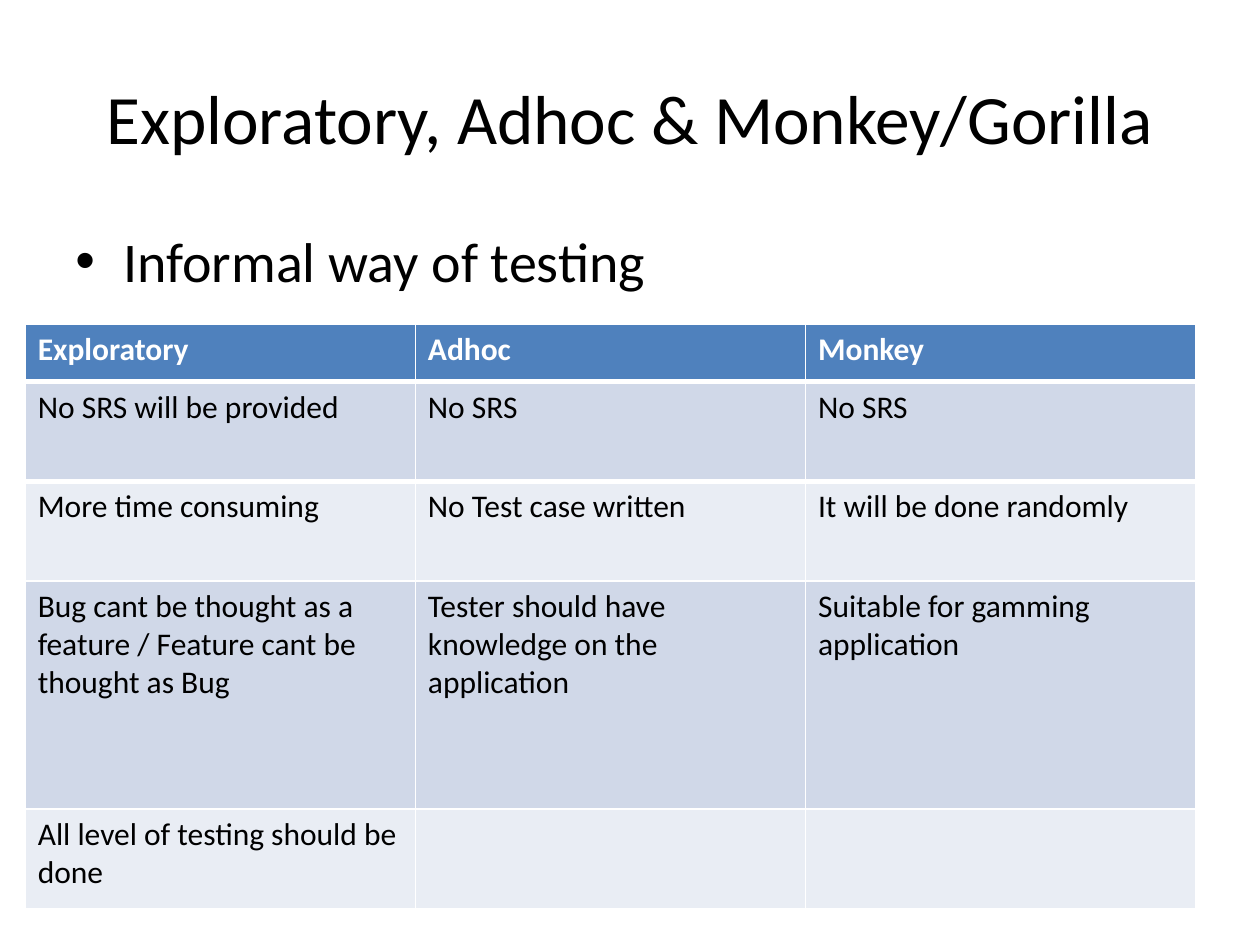
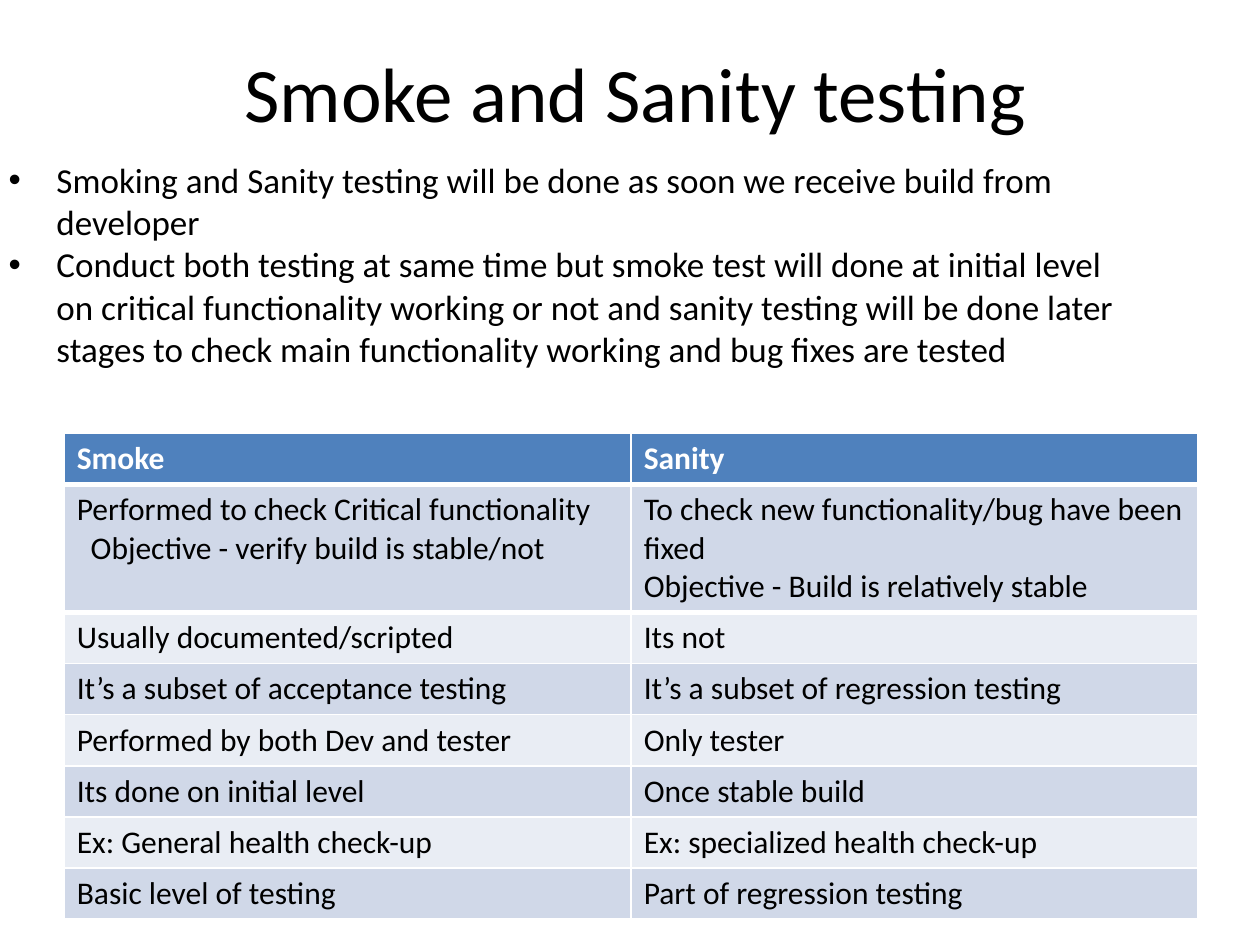
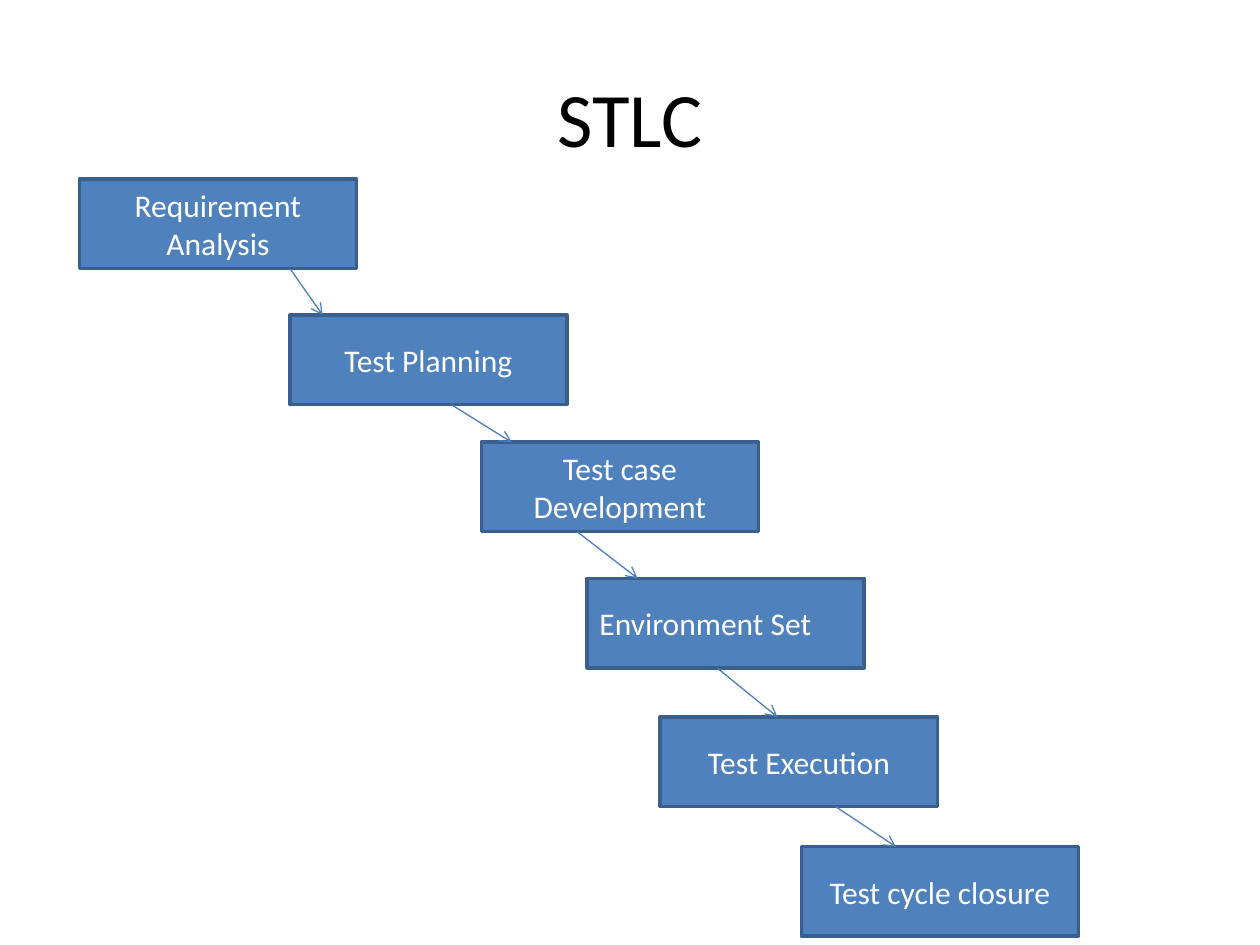
"""Build three slides on software testing: two comparisons and a life cycle."""

from dataclasses import dataclass
from itertools import pairwise
from typing import NamedTuple

import pptx
import pptx.dml.color
import pptx.enum.shapes
import pptx.enum.text
import pptx.oxml.ns
import pptx.util
from lxml import etree

Inches = pptx.util.Inches
Align = pptx.enum.text.PP_ALIGN
Anchor = pptx.enum.text.MSO_ANCHOR
qn = pptx.oxml.ns.qn


@dataclass(frozen=True)
class Theme:
    """Hold the colours, font and type sizes of the deck."""

    font: str = "Calibri"
    ink: str = "000000"
    white: str = "FFFFFF"
    blue: str = "4F81BD"
    edge: str = "3A5F8C"
    arrow: str = "4B7EBC"
    bands: tuple[str, str] = ("D0D8E8", "E9EDF4")
    title: float = 44
    tight: float = 39.6
    lead: float = 32
    body: float = 20
    small: float = 18


class Box(NamedTuple):
    """Place a thing on the slide, in inches."""

    left: float
    top: float
    width: float
    height: float


class Step(NamedTuple):
    """Name and place one step of the life cycle."""

    text: str
    left: float
    top: float
    align: Align = Align.CENTER


class Link(NamedTuple):
    """Give the left end and the width of an arrow, in inches."""

    left: float
    across: float = 0.48


@dataclass(frozen=True)
class Grid:
    """Describe a table with a header row and equal columns."""

    box: Box
    rows: list[list[str]]
    heights: list[float]


THEME = Theme()
TITLE = Box(0.5, 0.3, 9, 1.25)
STEP_SIZE = (2.2, 0.71)
INDENT = 0.38

TYPES = Grid(
    Box(0.2, 2.57, 9.29, 4.65),
    [
        ["Exploratory", "Adhoc", "Monkey"],
        ["No SRS will be provided", "No SRS", "No SRS"],
        ["More time consuming", "No Test case written", "It will be done randomly"],
        [
            "Bug cant be thought as a feature / Feature cant be thought as Bug",
            "Tester should have knowledge on the application",
            "Suitable for gamming application",
        ],
        ["All level of testing should be done", "", ""],
    ],
    [0.46, 0.79, 0.79, 1.81, 0.79],
)

CHECKS = Grid(
    Box(0.51, 3.44, 9, 3.84),
    [
        ["Smoke", "Sanity"],
        [
            "Performed to check Critical functionality\nObjective - verify build is stable/not",
            "To check new functionality/bug have been fixed\nObjective - Build is relatively stable",
        ],
        ["Usually documented/scripted", "Its not"],
        ["It’s a subset of acceptance testing", "It’s a subset of regression testing"],
        ["Performed by both Dev and tester", "Only tester"],
        ["Its done on initial level", "Once stable build"],
        ["Ex: General health check-up", "Ex: specialized health check-up"],
        ["Basic level of testing", "Part of regression testing"],
    ],
    [0.4] * 8,
)

NOTES = [
    "Smoking and Sanity testing will be done as soon we receive build from developer",
    "Conduct both testing at same time but smoke test will done at initial level "
    "on critical functionality working or not and sanity testing will be done later "
    "stages to check main functionality working and bug fixes are tested",
]

STEPS = [
    Step("Requirement Analysis", 0.63, 1.42),
    Step("Test Planning", 2.3, 2.5),
    Step("Test case Development", 3.82, 3.51),
    Step("Environment Set", 4.66, 4.59, Align.LEFT),
    Step("Test Execution", 5.24, 5.69),
    Step("Test cycle closure", 6.36, 6.72),
]

LINKS = [Link(2.3, 0.26), Link(3.58), Link(4.58), Link(5.69), Link(6.63)]


def paint(code: str) -> pptx.dml.color.RGBColor:
    """Turn a hex code into a colour."""
    return pptx.dml.color.RGBColor.from_string(code)


def fill(thing, code: str) -> None:
    """Give a shape or cell a solid fill."""
    thing.fill.solid()
    thing.fill.fore_color.rgb = paint(code)


def style(frame, size: float, code: str = THEME.ink, bold: bool = False) -> None:
    """Set the font of every run in a text frame."""
    for para in frame.paragraphs:
        for run in para.runs:
            run.font.name = THEME.font
            run.font.size = pptx.util.Pt(size)
            run.font.color.rgb = paint(code)
            run.font.bold = bold


def indent(para, left: float, first: float = 0) -> None:
    """Set the left margin and first-line indent of a paragraph."""
    props = para._p.get_or_add_pPr()
    props.set("marL", str(Inches(left)))
    props.set("indent", str(Inches(first)))


def rule(cell, side: str, width: float) -> None:
    """Draw a white border on one side of a cell."""
    line = etree.Element(qn(side), w=str(pptx.util.Pt(width)))
    solid = etree.SubElement(line, qn("a:solidFill"))
    etree.SubElement(solid, qn("a:srgbClr"), val=THEME.white)
    cell._tc.get_or_add_tcPr().insert(0, line)


def add_slide(deck, text: str, box: Box = TITLE, size: float = THEME.title):
    """Add a title-only slide and format its title."""
    slide = deck.slides.add_slide(deck.slide_layouts[5])
    title = slide.shapes.title
    title.left, title.top, title.width, title.height = map(Inches, box)
    frame = title.text_frame
    frame.text = text
    frame.word_wrap = True
    frame.auto_size = pptx.enum.text.MSO_AUTO_SIZE.NONE
    frame.vertical_anchor = Anchor.MIDDLE
    frame.paragraphs[0].alignment = Align.CENTER
    style(frame, size)
    return slide


def add_list(slide, box: Box, lines: list[str], size: float, anchor: Anchor) -> None:
    """Add a bulleted text box."""
    frame = slide.shapes.add_textbox(*map(Inches, box)).text_frame
    frame.word_wrap = True
    frame.vertical_anchor = anchor
    frame.text = "\n".join(lines)
    for para in frame.paragraphs:
        indent(para, INDENT, -INDENT)
        props = para._p.get_or_add_pPr()
        etree.SubElement(props, qn("a:buFont"), typeface="Arial")
        etree.SubElement(props, qn("a:buChar"), char="•")
    style(frame, size)


def add_grid(slide, grid: Grid):
    """Add a table with a blue header and banded rows."""
    count = len(grid.rows[0])
    holder = slide.shapes.add_table(len(grid.rows), count, *map(Inches, grid.box))
    table = holder.table
    for col in table.columns:
        col.width = Inches(grid.box.width / count)
    for r, (texts, height) in enumerate(zip(grid.rows, grid.heights)):
        table.rows[r].height = Inches(height)
        head = r == 0
        for c, text in enumerate(texts):
            cell = table.cell(r, c)
            cell.text_frame.text = text
            fill(cell, THEME.blue if head else THEME.bands[(r - 1) % 2])
            style(cell.text_frame, THEME.small, THEME.white if head else THEME.ink, head)
            if head:
                rule(cell, "a:lnB", 3)
            elif r == 1:
                rule(cell, "a:lnT", 3)
    holder.height = Inches(grid.box.height)
    return table


def add_step(slide, step: Step) -> None:
    """Add one step of the life cycle."""
    box = Box(step.left, step.top, *STEP_SIZE)
    kind = pptx.enum.shapes.MSO_SHAPE.RECTANGLE
    shape = slide.shapes.add_shape(kind, *map(Inches, box))
    shape.shadow.inherit = False
    fill(shape, THEME.blue)
    shape.line.color.rgb = paint(THEME.edge)
    shape.line.width = pptx.util.Pt(2)
    frame = shape.text_frame
    frame.text = step.text
    frame.word_wrap = True
    frame.vertical_anchor = Anchor.MIDDLE
    frame.paragraphs[0].alignment = step.align
    style(frame, THEME.small, THEME.white)


def add_link(slide, link: Link, above: Step, below: Step) -> None:
    """Add an arrow from the foot of one step to the top of the next."""
    foot = above.top + STEP_SIZE[1]
    ends = (link.left, foot, link.left + link.across, below.top)
    kind = pptx.enum.shapes.MSO_CONNECTOR.STRAIGHT
    line = slide.shapes.add_connector(kind, *map(Inches, ends))
    line.line.color.rgb = paint(THEME.arrow)
    line.line.width = pptx.util.Pt(0.75)
    props = line.element.spPr
    stroke = props.find(qn("a:ln"))
    etree.SubElement(stroke, qn("a:tailEnd"), type="arrow")
    etree.SubElement(props, qn("a:effectLst"))


def main() -> None:
    """Build and save the deck."""
    deck = pptx.Presentation()
    deck.slide_width, deck.slide_height = Inches(10), Inches(7.5)

    slide = add_slide(deck, "Exploratory, Adhoc & Monkey/Gorilla", size=THEME.tight)
    add_list(slide, Box(0.5, 1.75, 9, 4.95), ["Informal way of testing"], THEME.lead, Anchor.TOP)
    add_grid(slide, TYPES)

    slide = add_slide(deck, "Smoke and Sanity testing", Box(0.59, 0.3, 8.91, 0.85))
    table = add_grid(slide, CHECKS)
    indent(table.cell(1, 0).text_frame.paragraphs[1], 0.11)
    add_list(slide, Box(-0.03, 1.47, 9, 1.25), NOTES, THEME.body, Anchor.MIDDLE)

    slide = add_slide(deck, "STLC")
    for step in STEPS:
        add_step(slide, step)
    for link, (above, below) in zip(LINKS, pairwise(STEPS)):
        add_link(slide, link, above, below)

    deck.save("out.pptx")


if __name__ == "__main__":
    main()
